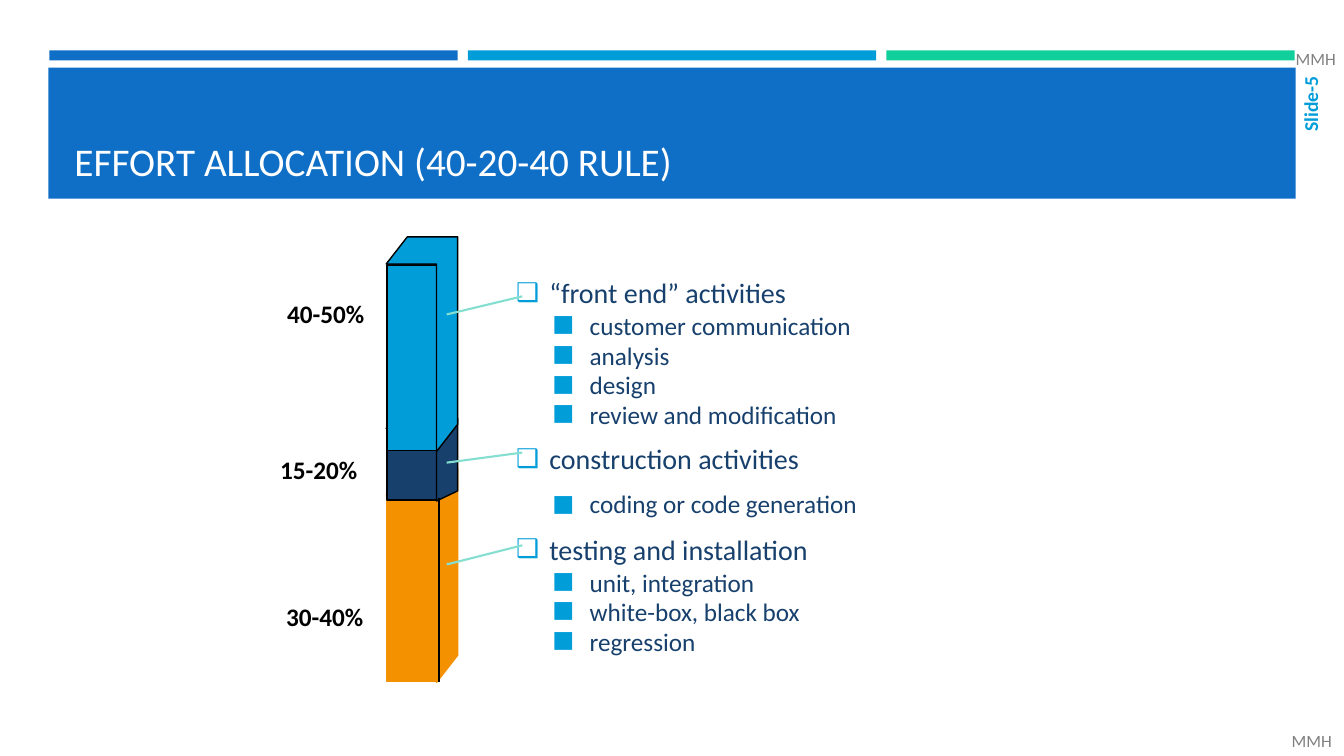
import dataclasses

import lxml.etree
import pptx
import pptx.dml.color
import pptx.enum.shapes
import pptx.enum.text
import pptx.oxml.ns
import pptx.util

TITLE = "EFFORT ALLOCATION (40-20-40 RULE)"
SLIDE_MARK = "Slide-5"
AUTHOR = "MMH"
ACTIVITIES = [
    ("“front end” activities", 0.55,
     ["customer communication", "analysis", "design", "review and modification"]),
    ("construction activities", 1.0, ["coding or code generation"]),
    ("testing and installation", 0.55,
     ["unit, integration", "white-box, black box", "regression"]),
]


@dataclasses.dataclass(frozen=True)
class Theme:
    font: str = "Calibri"
    blue: str = "0F6FC6"
    cyan: str = "009DD9"
    green: str = "10CF9B"
    navy: str = "17406D"
    orange: str = "F49100"
    mint: str = "85DFD0"
    gray: str = "808080"
    black: str = "000000"
    white: str = "FFFFFF"
    title: float = 28
    heading: float = 20
    body: float = 18
    mark: float = 14
    author: float = 12.3
    space_before: float = 0.185
    space_after: float = 6


THEME = Theme()
SEGMENTS = [
    dict(label="30-40%", label_at=(2.74, 5.95), top=4.91, height=1.86, rise=0.27,
         fill=THEME.orange, line=THEME.orange),
    dict(label="15-20%", label_at=(2.68, 4.49), top=4.25, height=0.72, rise=0.10,
         fill=THEME.navy, line=THEME.black),
    dict(label="40-50%", label_at=(2.75, 2.94), top=2.62, height=1.86, rise=0.27,
         fill=THEME.cyan, line=THEME.black),
]
COLUMN_LEFT, COLUMN_WIDTH, COLUMN_DEPTH = 3.83, 0.5, 0.21
LEADERS = [(2.94, 3.12), (4.49, 4.59), (5.41, 5.60)]
STRIPE_LEFT, STRIPE_WIDTH, STRIPE_GAP = 0.49, 4.05, 0.1

Inches = pptx.util.Inches
ANCHOR = pptx.enum.text.MSO_ANCHOR
ALIGN = pptx.enum.text.PP_ALIGN
presentation = pptx.Presentation()
presentation.slide_width, presentation.slide_height = Inches(13.33), Inches(7.5)
slide = presentation.slides.add_slide(presentation.slide_layouts[6])


def rgb(color):
    return pptx.dml.color.RGBColor.from_string(color)


def paint(shape, fill, line=None):
    shape.shadow.inherit = False
    shape.fill.solid()
    shape.fill.fore_color.rgb = rgb(fill)
    if line:
        shape.line.color.rgb = rgb(line)
        shape.line.width = pptx.util.Pt(1)
    else:
        shape.line.fill.background()


def add_rectangle(box, fill, line=None):
    kind = pptx.enum.shapes.MSO_SHAPE.RECTANGLE
    paint(slide.shapes.add_shape(kind, *map(Inches, box)), fill, line)


def add_line(start, end, color):
    connector = slide.shapes.add_connector(
        pptx.enum.shapes.MSO_CONNECTOR.STRAIGHT, *map(Inches, start + end))
    connector.line.color.rgb = rgb(color)
    connector.line.width = pptx.util.Pt(1.5)
    lxml.etree.SubElement(connector._element.spPr, pptx.oxml.ns.qn("a:effectLst"))


def style(paragraph, size, color, bold=False):
    paragraph.font.name = THEME.font
    paragraph.font.size = pptx.util.Pt(size)
    paragraph.font.color.rgb = rgb(color)
    paragraph.font.bold = bold


def add_frame(box, anchor=ANCHOR.TOP, wrap=True):
    frame = slide.shapes.add_textbox(*map(Inches, box)).text_frame
    frame.word_wrap = wrap
    frame.vertical_anchor = anchor
    return frame


def add_text(box, text, size, color, bold=False, **frame_options):
    frame = add_frame(box, **frame_options)
    paragraph = frame.paragraphs[0]
    paragraph.text = text
    style(paragraph, size, color, bold)
    return frame


def add_bullet(paragraph, character, left, hanging):
    properties = paragraph._p.get_or_add_pPr()
    properties.set("marL", str(Inches(left)))
    properties.set("indent", str(-Inches(hanging)))
    qn = pptx.oxml.ns.qn
    color = lxml.etree.SubElement(properties, qn("a:buClr"))
    lxml.etree.SubElement(color, qn("a:srgbClr"), val=THEME.cyan)
    lxml.etree.SubElement(properties, qn("a:buSzPct"), val="92000")
    lxml.etree.SubElement(properties, qn("a:buFont"), typeface=THEME.font)
    lxml.etree.SubElement(properties, qn("a:buChar"), char=character)


def add_header():
    for index, color in enumerate([THEME.blue, THEME.cyan, THEME.green]):
        left = STRIPE_LEFT + index * (STRIPE_WIDTH + STRIPE_GAP)
        add_rectangle((left, 0.5, STRIPE_WIDTH, 0.1), color)
    add_rectangle((0.48, 0.67, 12.37, 1.3), THEME.blue)
    add_text((0.64, 0.77, 12.06, 1.11), TITLE, THEME.title, THEME.white,
             anchor=ANCHOR.BOTTOM)
    mark = add_text((12.87, 0.66, 0.25, 0.91), SLIDE_MARK, THEME.mark, THEME.cyan,
                    bold=True, anchor=ANCHOR.MIDDLE)
    mark.paragraphs[0].alignment = ALIGN.RIGHT
    mark._txBody.bodyPr.set("vert", "vert270")


def add_activities():
    rows = []
    for heading, spacing, items in ACTIVITIES:
        rows.append((heading, 0, 1.0))
        rows += [(item, 1, spacing) for item in items]
    levels = [("❑", 0.33, 0.33, THEME.heading), ("■", 0.73, 0.37, THEME.body)]
    frame = add_frame((5.02, 2.52, 4.33, 4.19), anchor=ANCHOR.MIDDLE)
    for index, (text, level, spacing) in enumerate(rows):
        paragraph = frame.add_paragraph() if index else frame.paragraphs[0]
        character, left, hanging, size = levels[level]
        paragraph.text = text
        paragraph.level = level
        add_bullet(paragraph, character, left, hanging)
        paragraph.line_spacing = spacing
        paragraph.space_before = pptx.util.Pt(size * THEME.space_before if index else 0)
        paragraph.space_after = pptx.util.Pt(THEME.space_after)
        style(paragraph, size, THEME.navy)


def add_segment(top, height, rise, fill, line, **label):
    front, back = COLUMN_LEFT + COLUMN_WIDTH, COLUMN_LEFT + COLUMN_WIDTH + COLUMN_DEPTH
    bottom = top + height
    add_rectangle((COLUMN_LEFT + 0.01, top + 0.01, COLUMN_WIDTH - 0.01, height - 0.02),
                  fill, line)
    outline = [(front, bottom), (back, bottom - rise), (back, top - rise),
               (COLUMN_LEFT + COLUMN_DEPTH, top - rise), (COLUMN_LEFT, top), (front, top)]
    points = [(Inches(x), Inches(y)) for x, y in outline]
    builder = slide.shapes.build_freeform(*points[0])
    builder.add_line_segments(points[1:], close=True)
    paint(builder.convert_to_shape(), fill, line)


def add_column():
    for segment in SEGMENTS:
        add_segment(**segment)
    for segment in SEGMENTS:
        frame = add_text(segment["label_at"] + (1.35, 0.46), segment["label"],
                         THEME.body, THEME.black, bold=True, wrap=False)
        frame.auto_size = pptx.enum.text.MSO_AUTO_SIZE.SHAPE_TO_FIT_TEXT
        frame.paragraphs[0].line_spacing = 0.9
    for start, end in LEADERS:
        add_line((5.18, start), (4.43, end), THEME.mint)
    add_line((4.35, 4.94), (4.35, 6.77), THEME.black)


def add_author_marks():
    for left, top in [(12.63, 7.2), (12.67, 0.43)]:
        frame = add_text((left, top, 0.7, 0.3), AUTHOR, THEME.author, THEME.gray,
                         anchor=ANCHOR.MIDDLE)
        frame.margin_left, frame.margin_right = Inches(0.18), 0


add_header()
add_activities()
add_column()
add_author_marks()
presentation.save("out.pptx")
